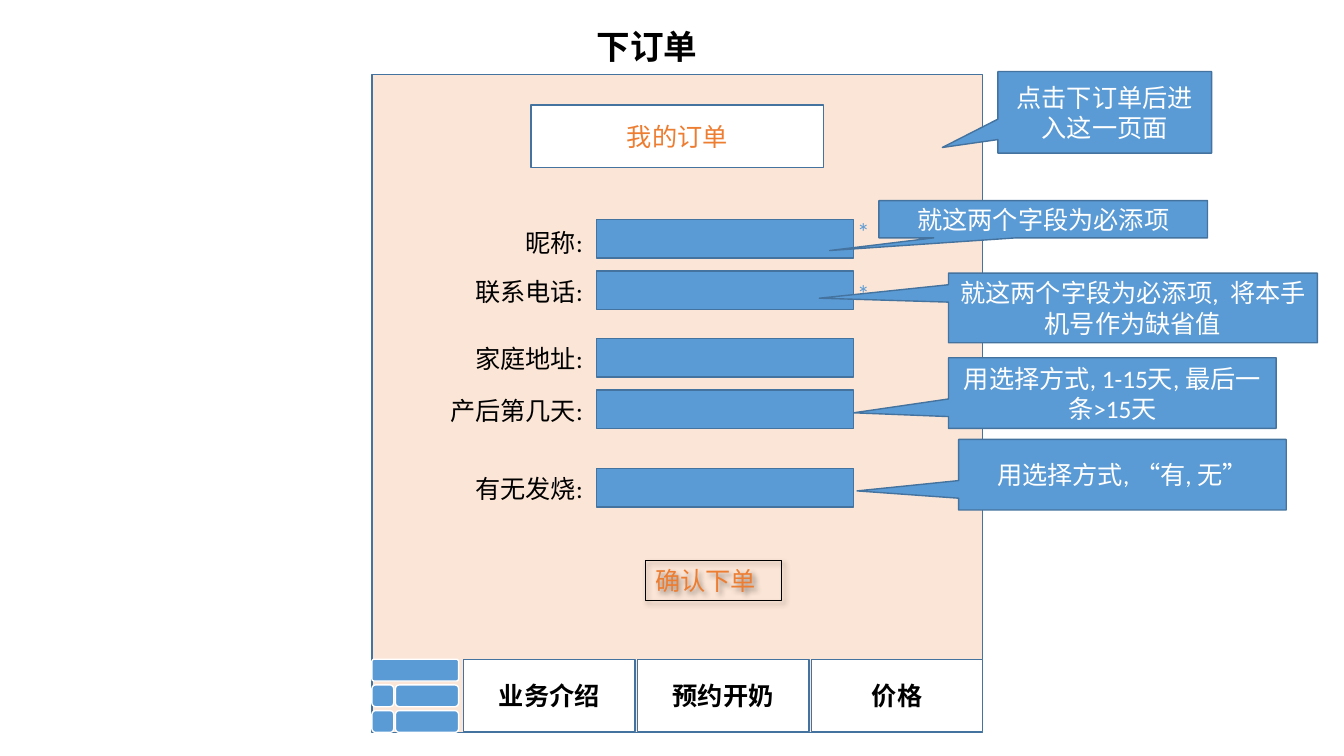
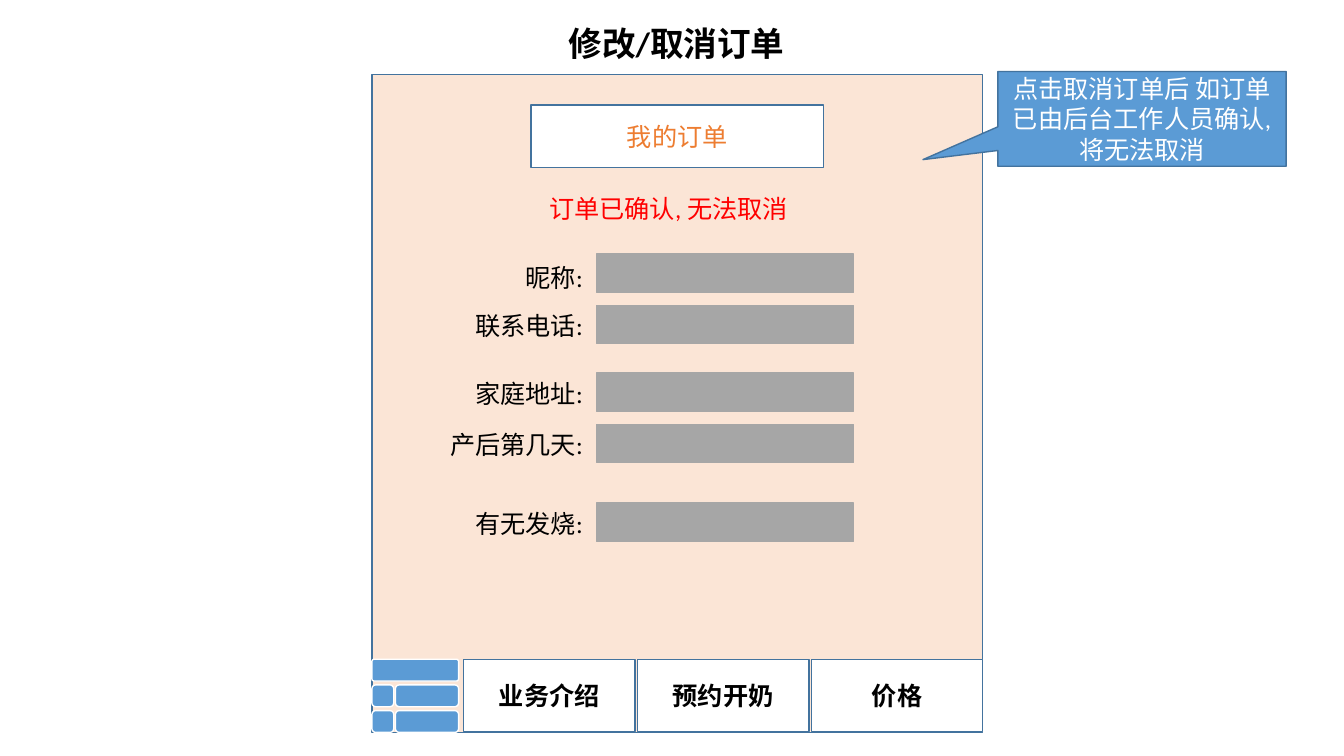
from lxml.etree import SubElement
from pptx import Presentation
from pptx.dml.color import RGBColor
from pptx.enum.shapes import MSO_SHAPE
from pptx.enum.text import MSO_ANCHOR, MSO_AUTO_SIZE, PP_ALIGN
from pptx.oxml import parse_xml
from pptx.oxml.ns import nsdecls, qn
from pptx.util import Inches, Pt

COLS, ROWS = 80, 45
SW, SH = Inches(13.333), Inches(7.5)

BLUE = RGBColor(0x5B, 0x9B, 0xD5)
EDGE = RGBColor(0x43, 0x73, 0x9E)
PEACH = RGBColor(0xFB, 0xE5, 0xD6)
ORANGE = RGBColor(0xED, 0x7D, 0x31)
GREY = RGBColor(0xA6, 0xA6, 0xA6)
RED = RGBColor(0xFF, 0x00, 0x00)
BLACK = RGBColor(0x00, 0x00, 0x00)
WHITE = RGBColor(0xFF, 0xFF, 0xFF)

FONT = "Calibri"
PANEL_X, PANEL_Y, PANEL_W, PANEL_H = 22.14, 4.44, 36.36, 39.18
BAR_Y, BAR_H = 39.24, 4.32
TABS = ["业务介绍", "预约开奶", "价格"]
TAB_X, TAB_W, TAB_STEP = 27.6, 10.2, 10.35
KEY, KEY_STEP, MENU_W = 1.3, 1.53, 5.16
FIELD_X, FIELD_W, FIELD_H = 35.52, 15.3, 2.28
LABEL_X, LABEL_W, LINE_H = 24.08, 11.2, 2.4
FIELDS = [
    ("昵称:", 0, 0.18),
    ("联系电话:", 3.06, 0),
    ("家庭地址:", 7.08, 0),
    ("产后第几天:", 10.14, 0),
    ("有无发烧:", 14.82, 0),
]
ORDER_NOTES = [
    ("点击下订单后进入这一页面", (59.4, 4.26, 12.72, 4.86), (-0.76, 0.43)),
    ("用选择方式, 1-15天, 最后一条>15天", (56.46, 21.3, 19.5, 4.2), (-0.79, 0.28)),
    ("用选择方式, “有, 无”", (57.06, 26.16, 19.5, 4.2), (-0.81, 0.23)),
    ("就这两个字段为必添项", (52.32, 11.94, 19.56, 2.22), (-0.65, 0.84)),
    ("就这两个字段为必添项,  将本手机号作为缺省值",
     (56.46, 16.26, 21.96, 4.14), (-0.85, -0.14)),
]
CANCEL_NOTE = ("点击取消订单后 如订单已由后台工作人员确认,将无法取消",
               (59.4, 4.26, 17.16, 5.64), (-0.76, 0.43))


def cells(x, y, w, h):
    return (round(SW * x / COLS), round(SH * y / ROWS),
            round(SW * w / COLS), round(SH * h / ROWS))


def write(sp, text, color, size=18, bold=False, align=PP_ALIGN.LEFT,
          anchor=MSO_ANCHOR.TOP):
    tf = sp.text_frame
    tf.word_wrap = True
    tf.auto_size = MSO_AUTO_SIZE.NONE
    tf.vertical_anchor = anchor
    p = tf.paragraphs[0]
    p.text = text
    p.alignment = align
    f = p.runs[0].font
    f.name, f.size, f.bold = FONT, Pt(size), bold
    f.color.rgb = color


def add_box(s, area, fill, line=EDGE, kind=MSO_SHAPE.RECTANGLE, adj=()):
    sp = s.shapes.add_shape(kind, *cells(*area))
    sp.shadow.inherit = False
    sp.fill.solid()
    sp.fill.fore_color.rgb = fill
    sp.line.color.rgb = line
    sp.line.width = Pt(1)
    for i, value in enumerate(adj):
        sp.adjustments[i] = value
    return sp


def add_caption(s, area, fill, text, color, bold=False, **shape):
    sp = add_box(s, area, fill, **shape)
    write(sp, text, color, bold=bold, align=PP_ALIGN.CENTER,
          anchor=MSO_ANCHOR.MIDDLE)


def add_text(s, area, text, color, align=PP_ALIGN.LEFT):
    sp = s.shapes.add_textbox(*cells(*area))
    write(sp, text, color, align=align)
    return sp


def add_callout(s, text, area, tip):
    add_caption(s, area, BLUE, text, WHITE,
                kind=MSO_SHAPE.RECTANGULAR_CALLOUT, adj=tip)


def add_menu(s):
    wide_x = PANEL_X + KEY + 0.1
    wide_w = MENU_W - KEY - 0.1
    keys = [(PANEL_X, 0, MENU_W, 0.1)]
    for row in (1, 2):
        keys += [(PANEL_X, row, KEY, 0.17), (wide_x, row, wide_w, 0.17)]
    for x, row, w, radius in keys:
        add_box(s, (x, BAR_Y + row * KEY_STEP, w, KEY), BLUE, WHITE,
                MSO_SHAPE.ROUNDED_RECTANGLE, [radius])


def add_page(prs, title, x, y):
    s = prs.slides.add_slide(prs.slide_layouts[5])
    sp = s.shapes.title
    sp.left, sp.top, sp.width, sp.height = cells(x, y, 18, 3)
    write(sp, title, BLACK, size=24, bold=True)
    add_box(s, (PANEL_X, PANEL_Y, PANEL_W, PANEL_H), PEACH)
    for i, tab in enumerate(TABS):
        add_caption(s, (TAB_X + i * TAB_STEP, BAR_Y, TAB_W, BAR_H),
                    WHITE, tab, BLACK, bold=True)
    add_menu(s)
    add_caption(s, (31.62, 6.24, 17.4, 3.72), WHITE, "我的订单", ORANGE)
    return s


def add_form(s, top, fill, line):
    for label, offset, drop in FIELDS:
        y = top + offset
        add_box(s, (FIELD_X, y, FIELD_W, FIELD_H), fill, line)
        add_text(s, (LABEL_X, y + drop, LABEL_W, LINE_H), label, BLACK,
                 PP_ALIGN.RIGHT)


def add_button(s, area, text):
    sp = add_text(s, area, text, ORANGE)
    sp.line.color.rgb = BLACK
    sp.line.width = Pt(0.75)
    sp._element.spPr.append(parse_xml(
        f'<a:effectLst {nsdecls("a")}>'
        f'<a:outerShdw blurRad="{Pt(4)}" dist="{Pt(3)}" dir="2700000">'
        f'<a:srgbClr val="{BLACK}"><a:alpha val="40000"/></a:srgbClr>'
        '</a:outerShdw></a:effectLst>'))
    rPr = sp.text_frame.paragraphs[0].runs[0].font._element
    ln = SubElement(rPr, qn("a:ln"), w=str(Pt(0.75)))
    fill = SubElement(ln, qn("a:solidFill"))
    SubElement(fill, qn("a:srgbClr"), val=str(ORANGE))
    rPr.insert(0, ln)


def add_order_page(prs):
    s = add_page(prs, "下订单", 34.92, 1.26)
    add_form(s, 13.08, BLUE, EDGE)
    for note in ORDER_NOTES:
        add_callout(s, *note)
    for y in (12.6, 16.26):
        add_text(s, (50.43, y, 2.2, LINE_H), "*", BLUE)
    add_button(s, (38.4, 33.36, 8.1, LINE_H), "确认下单")


def add_cancel_page(prs):
    s = add_page(prs, "修改/取消订单", 33.24, 1.08)
    add_form(s, 15.12, GREY, GREY)
    add_callout(s, *CANCEL_NOTE)
    add_text(s, (32.1, 11.22, 17.34, LINE_H), "订单已确认, 无法取消", RED)


def main():
    prs = Presentation()
    prs.slide_width, prs.slide_height = SW, SH
    add_order_page(prs)
    add_cancel_page(prs)
    prs.save("out.pptx")


if __name__ == "__main__":
    main()
